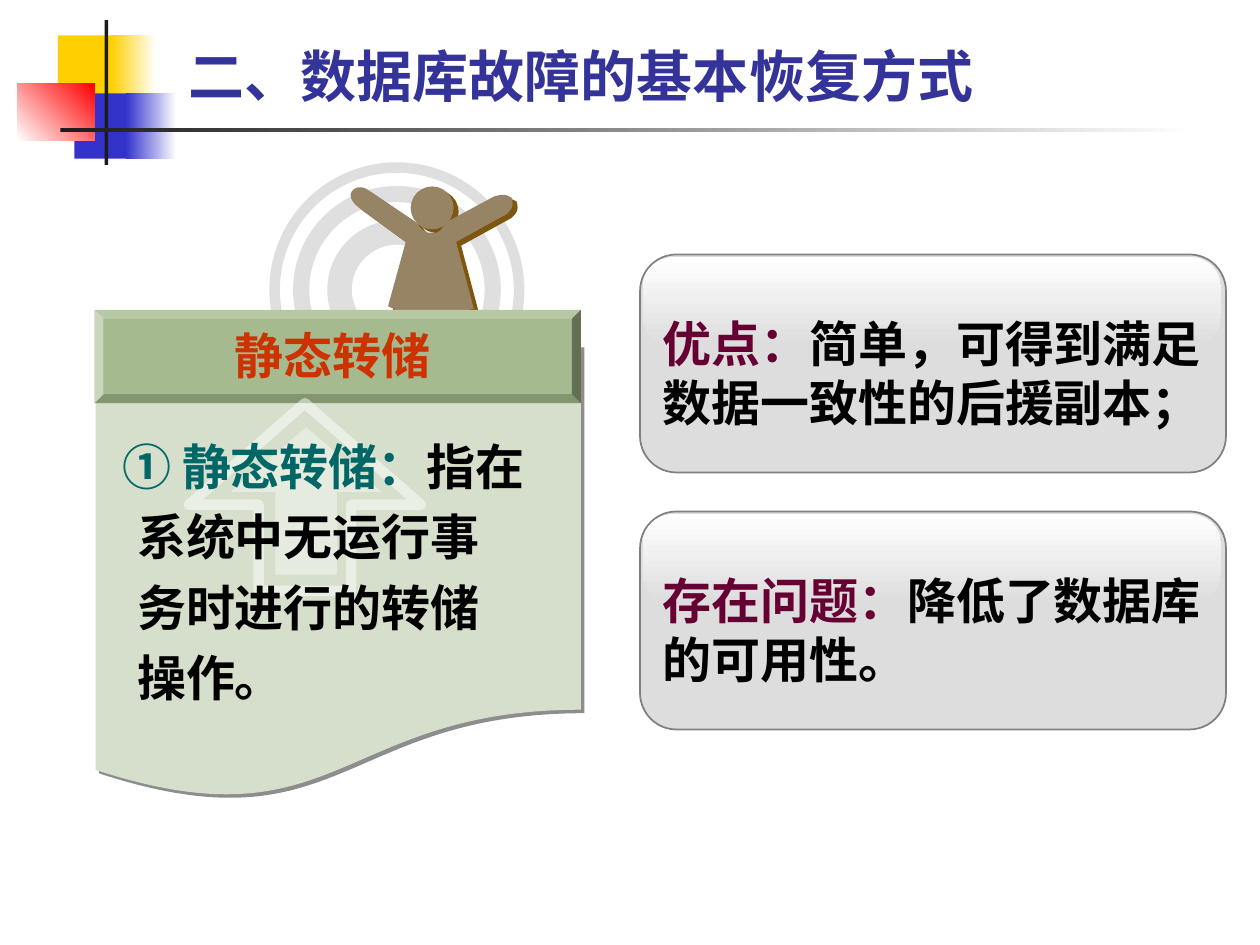
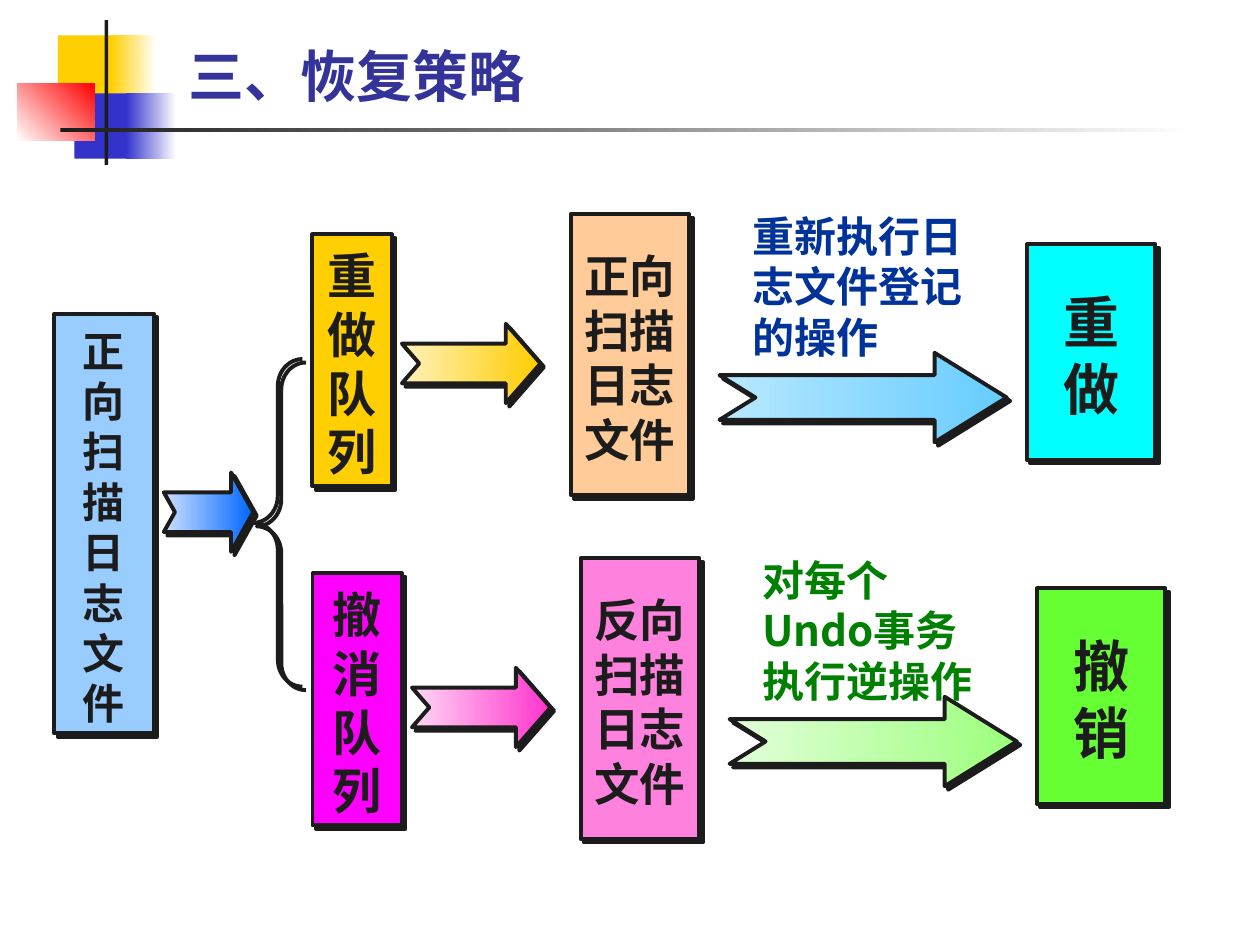
from lxml.etree import SubElement
from pptx import Presentation
from pptx.dml.color import RGBColor
from pptx.enum.shapes import MSO_SHAPE
from pptx.enum.text import MSO_ANCHOR, PP_ALIGN
from pptx.oxml.ns import qn
from pptx.util import Inches, Pt

COLORS = {
    "ink": "1C1C1C", "white": "FFFFFF", "black": "000000",
    "yellow": "FFCF01", "blue": "3333CC", "red": "FF0000",
    "title": "333399", "ring": "C0C0C0",
    "figure": "968465", "figure_side": "7F560F",
    "sheet": "D5DFCB", "header": "A5BB8F", "header_text": "CC3300",
    "term": "006666", "card": "DDDDDD", "card_line": "808080",
    "card_term": "660033", "log": "99CCFF", "undo_queue": "FE00FE",
    "log_from": "CDE1FF", "log_to": "0066FF",
}
REDO = {
    "scan": "FFCC99", "result": "00FFFF", "label": "003399",
    "short": ("FFF2BD", "FFCC00"), "long": ("B9E8FF", "66CCFF"),
}
UNDO = {
    "scan": "FF81DE", "result": "66FF33", "label": "008000",
    "short": ("FFD9F5", "FF33CC"), "long": ("E2FFD9", "9CFF7D"),
}
CJK = "Noto Sans CJK SC"
LINE_HEIGHT = 1.2
BODY_START = (3.53, 1.77)
BODY = [
    (3.52, 1.81, 3.48, 1.86, 3.42, 1.85), (3.36, 1.85, 3.33, 1.80, 3.31, 1.77),
    (2.91, 1.50),
    (2.87, 1.48, 2.83, 1.48, 2.80, 1.51), (2.78, 1.53, 2.76, 1.58, 2.85, 1.65),
    (3.22, 1.92), (3.08, 2.43), (3.16, 2.47), (3.66, 2.47), (3.76, 2.45),
    (3.62, 1.92), (4.02, 1.70),
    (4.06, 1.66, 4.08, 1.64, 4.06, 1.57), (4.01, 1.54, 3.99, 1.54, 3.92, 1.56),
]


def rgb(color):
    return RGBColor.from_string(COLORS.get(color, color))


def add_alpha(fill_parent, percent):
    color = fill_parent.find(".//" + qn("a:srgbClr"))
    SubElement(color, qn("a:alpha"), val=str(percent * 1000))


def shadow_effect(color="ink", percent=100):
    def attach(effects):
        shade = SubElement(effects, qn("a:outerShdw"), dist=str(Pt(2.8)),
                           dir="2700000", algn="ctr", rotWithShape="0")
        clr = SubElement(shade, qn("a:srgbClr"), val=COLORS[color])
        SubElement(clr, qn("a:alpha"), val=str(percent * 1000))
    return attach


def paint(sp, fill=None, line=None, width=1, angle=0, shadow=0):
    sp.shadow.inherit = False
    if shadow:
        shadow_effect(percent=shadow)(sp._element.spPr.find(qn("a:effectLst")))
    if isinstance(fill, tuple):
        sp.fill.gradient()
        sp.fill.gradient_angle = angle
        for stop, color in zip(sp.fill.gradient_stops, fill):
            stop.color.rgb = rgb(color)
    elif fill:
        sp.fill.solid()
        sp.fill.fore_color.rgb = rgb(fill)
    else:
        sp.fill.background()
    if line:
        sp.line.color.rgb = rgb(line)
        sp.line.width = Pt(width)
    else:
        sp.line.fill.background()


def add_shape(s, kind, box, fill=None, adj=(), **style):
    sp = s.shapes.add_shape(kind, *map(Inches, box))
    for i, value in enumerate(adj):
        sp.adjustments[i] = value
    paint(sp, fill, **style)
    return sp


def write(sp, parts, size, font="Arial", align=PP_ALIGN.LEFT,
          anchor=MSO_ANCHOR.TOP, inset=(0.1, 0.09, 0.1, 0.05), spacing=1):
    tf = sp.text_frame
    tf.word_wrap = True
    tf.vertical_anchor = anchor
    (tf.margin_left, tf.margin_top,
     tf.margin_right, tf.margin_bottom) = map(Inches, inset)
    p = tf.paragraphs[0]
    p.alignment = align
    p.line_spacing = Pt(round(size * LINE_HEIGHT * spacing, 1))
    for text, color in parts:
        r = p.add_run()
        r.text = text
        r.font.size = Pt(size)
        r.font.bold = True
        r.font.name = font
        r.font.color.rgb = rgb(color)
        latin = r._r.rPr.find(qn("a:latin"))
        ea = SubElement(r._r.rPr, qn("a:ea"), typeface=CJK)
        latin.addnext(ea)
    return p


def add_text(s, box, parts, size, **style):
    return write(s.shapes.add_textbox(*map(Inches, box)), parts, size, **style)


def add_frame(s, title):
    for box, fill, angle in [
        ((0.46, 0.28, 0.48, 0.52), "yellow", 0),
        ((0.88, 0.28, 0.36, 0.52), ("yellow", "white"), 0),
        ((0.59, 0.74, 0.46, 0.52), "blue", 0),
        ((1.0, 0.74, 0.4, 0.52), ("blue", "white"), 0),
        ((0.14, 0.66, 0.61, 0.46), ("white", "red"), 45),
        ((0.83, 0.16, 0.03, 1.15), "ink", 0),
        ((0.48, 1.02, 9, 0.03), ("ink", "white"), 0),
    ]:
        add_shape(s, MSO_SHAPE.RECTANGLE, box, fill, angle=angle)
    add_text(s, (1.4, 0.36, 7.38, 0.43), [(title, "title")], 32, font=CJK,
             anchor=MSO_ANCHOR.MIDDLE)


def add_rings(s, cx, cy):
    for size, width in [(1.94, 6), (1.52, 9.25), (0.91, 14)]:
        sp = add_shape(s, MSO_SHAPE.OVAL, (cx - size / 2, cy - size / 2, size, size),
                       line="ring", width=width)
        add_alpha(sp.line._ln, 50)


def body_points():
    x, y = BODY_START
    points = []
    for seg in BODY:
        if len(seg) == 2:
            points.append(seg)
        else:
            x1, y1, x2, y2, x3, y3 = seg
            for t in (i / 8 for i in range(1, 9)):
                u = 1 - t
                a, b, c, d = u ** 3, 3 * u * u * t, 3 * u * t * t, t ** 3
                points.append((a * x + b * x1 + c * x2 + d * x3,
                               a * y + b * y1 + c * y2 + d * y3))
        x, y = seg[-2:]
    return points


def add_figure(s, dx, dy, color):
    start = [Inches(BODY_START[0] + dx), Inches(BODY_START[1] + dy)]
    builder = s.shapes.build_freeform(*start)
    builder.add_line_segments(
        [(Inches(x + dx), Inches(y + dy)) for x, y in body_points()])
    paint(builder.convert_to_shape(), color)
    add_shape(s, MSO_SHAPE.OVAL, (3.26 + dx, 1.48 + dy, 0.34, 0.34), color)


def add_definition(s, x, y):
    add_shape(s, MSO_SHAPE.FLOWCHART_DOCUMENT, (x + 0.01, y + 0.27, 3.85, 3.62),
              "sheet", shadow=50)
    add_shape(s, MSO_SHAPE.BEVEL, (x, y, 3.86, 0.74), "header", adj=[0.096])
    add_text(s, (x, y + 0.03, 3.78, 0.57), [("静态转储", "header_text")], 28,
             align=PP_ALIGN.CENTER)
    outer = add_shape(s, MSO_SHAPE.UP_ARROW, (x + 0.75, y + 0.74, 1.84, 1.49),
                      adj=[0.399, 0.541], line="white", width=6)
    add_alpha(outer.line._ln, 50)
    inner = add_shape(s, MSO_SHAPE.UP_ARROW, (x + 1.08, y + 0.93, 1.2, 1.17),
                      "white", adj=[0.407, 0.44])
    add_alpha(inner._element.spPr, 39)
    p = add_text(s, (x + 0.12, y + 0.82, 3.42, 2.34),
                 [("① 静态转储：", "term"),
                  ("指在系统中无运行事务时进行的转储操作。", "black")],
                 28, font="Cabin", spacing=1.2)
    pPr = p._p.get_or_add_pPr()
    pPr.set("marL", str(Inches(0.12)))
    pPr.set("indent", str(-Inches(0.12)))


def add_card(s, x, y, term, text):
    add_shape(s, MSO_SHAPE.ROUNDED_RECTANGLE, (x, y, 4.65, 1.73), "card",
              adj=[0.167], line="card_line")
    add_shape(s, MSO_SHAPE.ROUNDED_RECTANGLE, (x + 0.02, y + 0.02, 4.59, 0.7),
              ("white", "card"), adj=[0.348], angle=270)
    add_text(s, (x + 0.08, y + 0.38, 4.65, 1.03),
             [(term, "card_term"), (text, "black")], 28, font="Cabin")


def add_step(s, box, fill, text, size, **style):
    sp = add_shape(s, MSO_SHAPE.RECTANGLE, box, fill, line="ink", width=2.25,
                   shadow=100)
    write(sp, [(text, "ink")], size, align=PP_ALIGN.CENTER, **style)


def add_arrow(s, box, fill, notch):
    add_shape(s, MSO_SHAPE.NOTCHED_RIGHT_ARROW, box, fill, adj=[0.5, notch],
              line="ink", width=2.25, shadow=100)


def add_log_source(s, x, y):
    add_step(s, (x, y, 0.79, 3.33), "log", "正向扫描日志文件", 24)
    add_shape(s, MSO_SHAPE.LEFT_BRACE, (x + 1.58, y + 0.36, 0.39, 2.6),
              adj=[0.55, 0.5], line="ink", width=2.25, shadow=100)
    add_step(s, (x + 2.05, y - 0.63, 0.63, 2), "yellow", "重做队列", 28)
    add_step(s, (x + 2.05, y + 2.06, 0.71, 2), "undo_queue", "撤消队列", 28)
    add_arrow(s, (x + 0.87, y + 1.26, 0.71, 0.63), ("log_from", "log_to"), 0.28)


def add_lane(s, x, y, colors, scan, label, result):
    add_step(s, (x + 1.34, y + 0.12, 0.94, 2.23), colors["scan"], scan, 26,
             anchor=MSO_ANCHOR.MIDDLE, inset=(0.02, 0.05, 0.02, 0.01))
    add_step(s, (x + 4.96, y + 0.36, 1.02, 1.71), colors["result"], result, 32,
             anchor=MSO_ANCHOR.MIDDLE)
    add_arrow(s, (x, y + 0.99, 1.1, 0.63), colors["short"], 0.437)
    add_arrow(s, (x + 2.52, y + 1.22, 2.28, 0.71), colors["long"], 0.806)
    p = add_text(s, (x + 2.68, y, 2.05, 1.3), [(label, colors["label"])], 24,
                 font=CJK)
    fill = p.runs[0]._r.rPr.find(qn("a:solidFill"))
    effects = SubElement(p.runs[0]._r.rPr, qn("a:effectLst"))
    fill.addnext(effects)
    shadow_effect()(effects)


def build_dump_slide(s):
    add_frame(s, "二、数据库故障的基本恢复方式")
    add_rings(s, 3.15, 2.3)
    add_figure(s, 0.04, 0.03, "figure_side")
    add_figure(s, 0, 0, "figure")
    add_definition(s, 0.75, 2.46)
    cards = [("优点：", "简单，可得到满足数据一致性的后援副本；"),
             ("存在问题：", "降低了数据库的可用性。")]
    for i, (term, text) in enumerate(cards):
        add_card(s, 5.08, 2.02 + i * 2.04, term, text)


def build_strategy_slide(s):
    add_frame(s, "三、恢复策略")
    add_log_source(s, 0.43, 2.49)
    add_lane(s, 3.19, 1.58, REDO, "正向扫描日志文件", "重新执行日志文件登记的操作", "重做")
    add_lane(s, 3.27, 4.31, UNDO, "反向扫描日志文件", "对每个Undo事务执行逆操作", "撤销")


def main():
    prs = Presentation()
    prs.slide_width, prs.slide_height = Inches(10), Inches(7.5)
    for build in (build_dump_slide, build_strategy_slide):
        build(prs.slides.add_slide(prs.slide_layouts[6]))
    prs.save("out.pptx")


if __name__ == "__main__":
    main()
